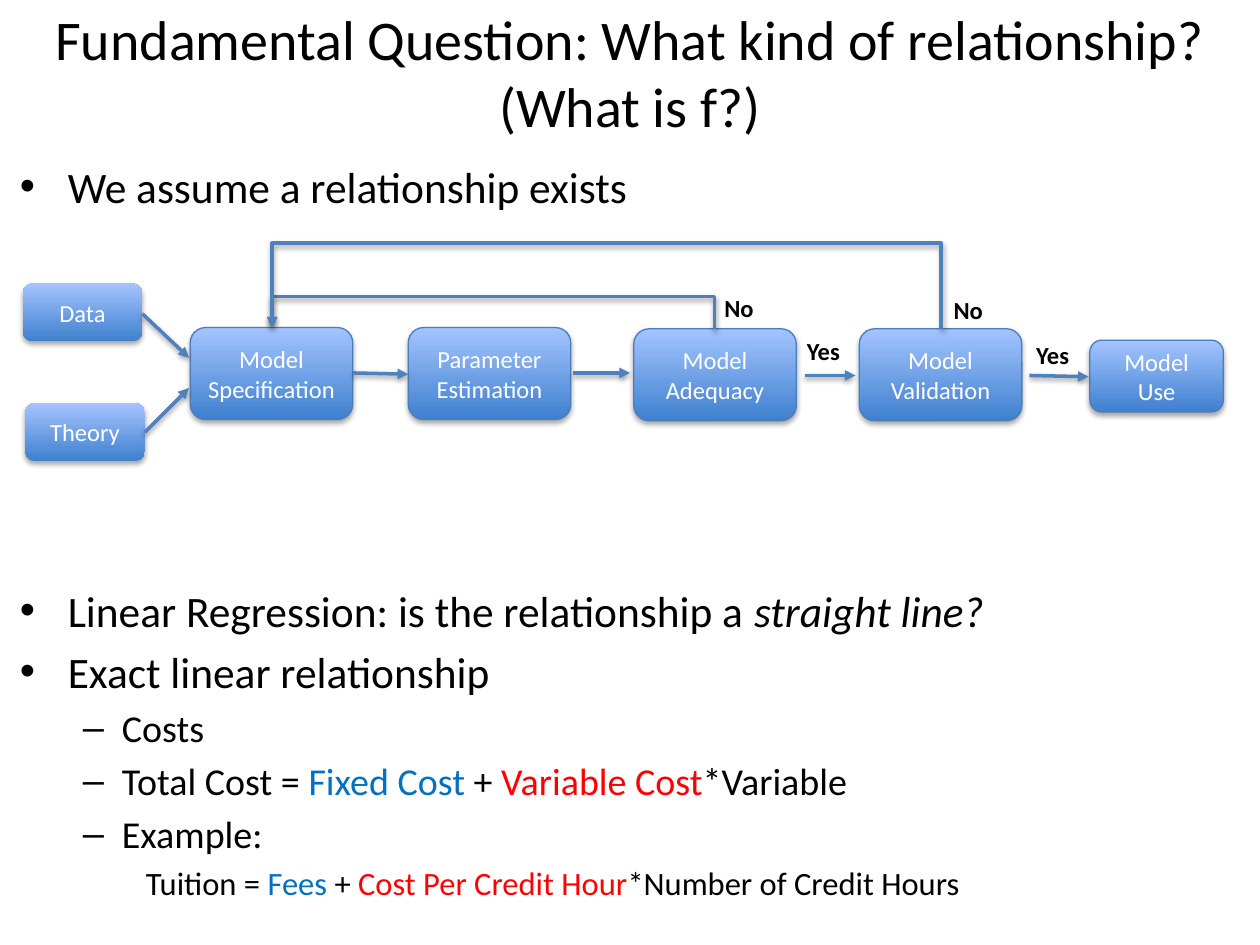
from lxml import etree
from pptx import Presentation
from pptx.dml.color import RGBColor
from pptx.enum.shapes import MSO_CONNECTOR, MSO_SHAPE
from pptx.enum.text import MSO_ANCHOR, PP_ALIGN
from pptx.oxml.ns import qn
from pptx.util import Inches, Pt

STRAIGHT, ELBOW = MSO_CONNECTOR.STRAIGHT, MSO_CONNECTOR.ELBOW
ROUNDED = MSO_SHAPE.ROUNDED_RECTANGLE
TOP, MIDDLE = MSO_ANCHOR.TOP, MSO_ANCHOR.MIDDLE
CENTER = PP_ALIGN.CENTER

BLACK = RGBColor(0, 0, 0)
WHITE = RGBColor(0xFF, 0xFF, 0xFF)
FIXED = RGBColor(0x00, 0x70, 0xC0)
VARIABLE = RGBColor(0xFF, 0x00, 0x00)
BOX_BOTTOM = RGBColor(0x3F, 0x80, 0xCE)
BOX_TOP = RGBColor(0xA4, 0xC4, 0xFF)
BOX_EDGE = RGBColor(0x4B, 0x7E, 0xBC)
ARROW = RGBColor(0x4F, 0x81, 0xBD)

TITLE = "Fundamental Question: What kind of relationship? (What is f?)"

LEVELS = [
    {"size": 24.8, "left": 0.38, "hang": 0.38, "bullet": "•", "before": 5},
    {"size": 21.7, "left": 0.81, "hang": 0.31, "bullet": "–", "before": 4.3},
    {"size": 18.6, "left": 1, "hang": 0, "bullet": None, "before": 3.7},
]
DIAGRAM_GAP = 212.5
BODY = [
    (0, 0, [("We assume a relationship exists", {})]),
    (0, DIAGRAM_GAP, [("Linear Regression: is the relationship a ", {}),
                      ("straight line?", {"italic": True})]),
    (0, None, [("Exact linear relationship", {})]),
    (1, None, [("Costs", {})]),
    (1, None, [("Total Cost = ", {}), ("Fixed Cost ", {"color": FIXED}), ("+ ", {}),
               ("Variable Cost", {"color": VARIABLE}), ("*Variable", {})]),
    (1, None, [("Example:", {})]),
    (2, None, [("Tuition = ", {}), ("Fees", {"color": FIXED}), (" + ", {}),
               ("Cost Per Credit Hour", {"color": VARIABLE}),
               ("*Number of Credit Hours", {})]),
]

INPUT_SIZE, STEP_SIZE, USE_SIZE = (0.95, 0.46), (1.29, 0.73), (1.06, 0.57)
BOXES = [
    ("Data", 0.18, 2.25, INPUT_SIZE, False),
    ("Theory", 0.2, 3.2, INPUT_SIZE, False),
    ("Model Specification", 1.51, 2.6, STEP_SIZE, True),
    ("Parameter Estimation", 3.24, 2.6, STEP_SIZE, True),
    ("Model Adequacy", 5.03, 2.61, STEP_SIZE, True),
    ("Model Validation", 6.82, 2.61, STEP_SIZE, True),
    ("Model Use", 8.65, 2.7, USE_SIZE, True),
]
ARROWS = [
    (1.13, 2.49, 1.5, 2.84),
    (1.15, 3.43, 1.5, 3.08),
    (2.8, 2.96, 3.24, 2.97),
    (4.55, 2.96, 5, 2.96),
    (6.39, 2.98, 6.79, 2.98),
    (8.17, 2.98, 8.64, 2.99),
]
LOOP_START_Y, LOOP_END_X, LOOP_END_Y = 2.61, 2.16, 2.6
LOOPS = [(5.67, 2.35), (7.47, 1.92)]
ANSWERS = [("No", 5.6, 2.28), ("Yes", 6.27, 2.62), ("Yes", 8.09, 2.65), ("No", 7.42, 2.29)]

prs = Presentation()
prs.slide_width, prs.slide_height = Inches(10), Inches(7.5)
shapes = prs.slides.add_slide(prs.slide_layouts[6]).shapes


def add_run(paragraph, text, size, color=BLACK, **formats):
    run = paragraph.add_run()
    run.text = text
    run.font.color.rgb = color
    for key, value in {"name": "Calibri", "size": Pt(size), **formats}.items():
        setattr(run.font, key, value)


def add_text(left, top, width, height, anchor=TOP):
    frame = shapes.add_textbox(*map(Inches, (left, top, width, height))).text_frame
    frame.word_wrap = True
    frame.vertical_anchor = anchor
    return frame


def add_centered(frame, text, size, color=BLACK, **formats):
    paragraph = frame.paragraphs[0]
    paragraph.alignment = CENTER
    add_run(paragraph, text, size, color, **formats)


def add_shadow(effects, distance, opacity):
    shadow = etree.SubElement(effects, qn("a:outerShdw"), blurRad=str(Pt(3.1)),
                              dist=str(Pt(distance)), dir="5400000", rotWithShape="0")
    black = etree.SubElement(shadow, qn("a:srgbClr"), val="000000")
    etree.SubElement(black, qn("a:alpha"), val=str(opacity * 1000))


def add_arrow(kind, *ends):
    arrow = shapes.add_connector(kind, *map(Inches, ends))
    arrow.line.color.rgb = ARROW
    arrow.line.width = Pt(2)
    etree.SubElement(arrow.line._get_or_add_ln(), qn("a:tailEnd"), type="triangle")
    properties = arrow._element.spPr
    add_shadow(etree.SubElement(properties, qn("a:effectLst")), 1.6, 38)
    return properties


def add_loop(start_x, crossing_y):
    drop, span = LOOP_START_Y - LOOP_END_Y, start_x - LOOP_END_X
    mid_x, mid_y = (start_x + LOOP_END_X) / 2, (LOOP_START_Y + LOOP_END_Y) / 2
    properties = add_arrow(ELBOW, mid_x - drop / 2, mid_y + span / 2,
                           mid_x + drop / 2, mid_y - span / 2)
    properties.find(qn("a:xfrm")).set("rot", "16200000")
    bend = round((LOOP_START_Y - crossing_y) / drop * 100000)
    guides = properties.find(qn("a:prstGeom")).find(qn("a:avLst"))
    etree.SubElement(guides, qn("a:gd"), name="adj1", fmla=f"val {bend}")


def add_box(text, left, top, size, outlined):
    box = shapes.add_shape(ROUNDED, *map(Inches, (left, top, *size)))
    box.fill.gradient()
    box.fill.gradient_angle = 90
    for stop, color, position in zip(box.fill.gradient_stops, (BOX_BOTTOM, BOX_TOP), (0, 1)):
        stop.color.rgb = color
        stop.position = position
    if outlined:
        box.line.color.rgb = BOX_EDGE
        box.line.width = Pt(0.75)
    else:
        box.line.fill.background()
    box.shadow.inherit = False
    add_shadow(box._element.spPr.find(qn("a:effectLst")), 1.8, 35)
    box.text_frame.word_wrap = True
    box.text_frame.vertical_anchor = MIDDLE
    add_centered(box.text_frame, text, 14, WHITE)


def add_body():
    frame = add_text(0.06, 1.22, 9.74, 5.44)
    for index, (level, before, runs) in enumerate(BODY):
        style = LEVELS[level]
        paragraph = frame.add_paragraph() if index else frame.paragraphs[0]
        paragraph.level = level
        paragraph.space_before = Pt(style["before"] if before is None else before)
        properties = paragraph._p.get_or_add_pPr()
        properties.set("marL", str(Inches(style["left"])))
        properties.set("indent", str(-Inches(style["hang"])))
        if style["bullet"]:
            etree.SubElement(properties, qn("a:buFont"), typeface="Arial")
            etree.SubElement(properties, qn("a:buChar"), char=style["bullet"])
        else:
            etree.SubElement(properties, qn("a:buNone"))
        for text, formats in runs:
            add_run(paragraph, text, style["size"], **formats)


add_centered(add_text(-0.23, 0.1, 10.46, 0.94, MIDDLE), TITLE, 32)
add_body()
for box in BOXES:
    add_box(*box)
for ends in ARROWS:
    add_arrow(STRAIGHT, *ends)
for loop in LOOPS:
    add_loop(*loop)
for answer, left, top in ANSWERS:
    add_centered(add_text(left, top, 0.53, 0.34), answer, 14, bold=True)

prs.save("out.pptx")
